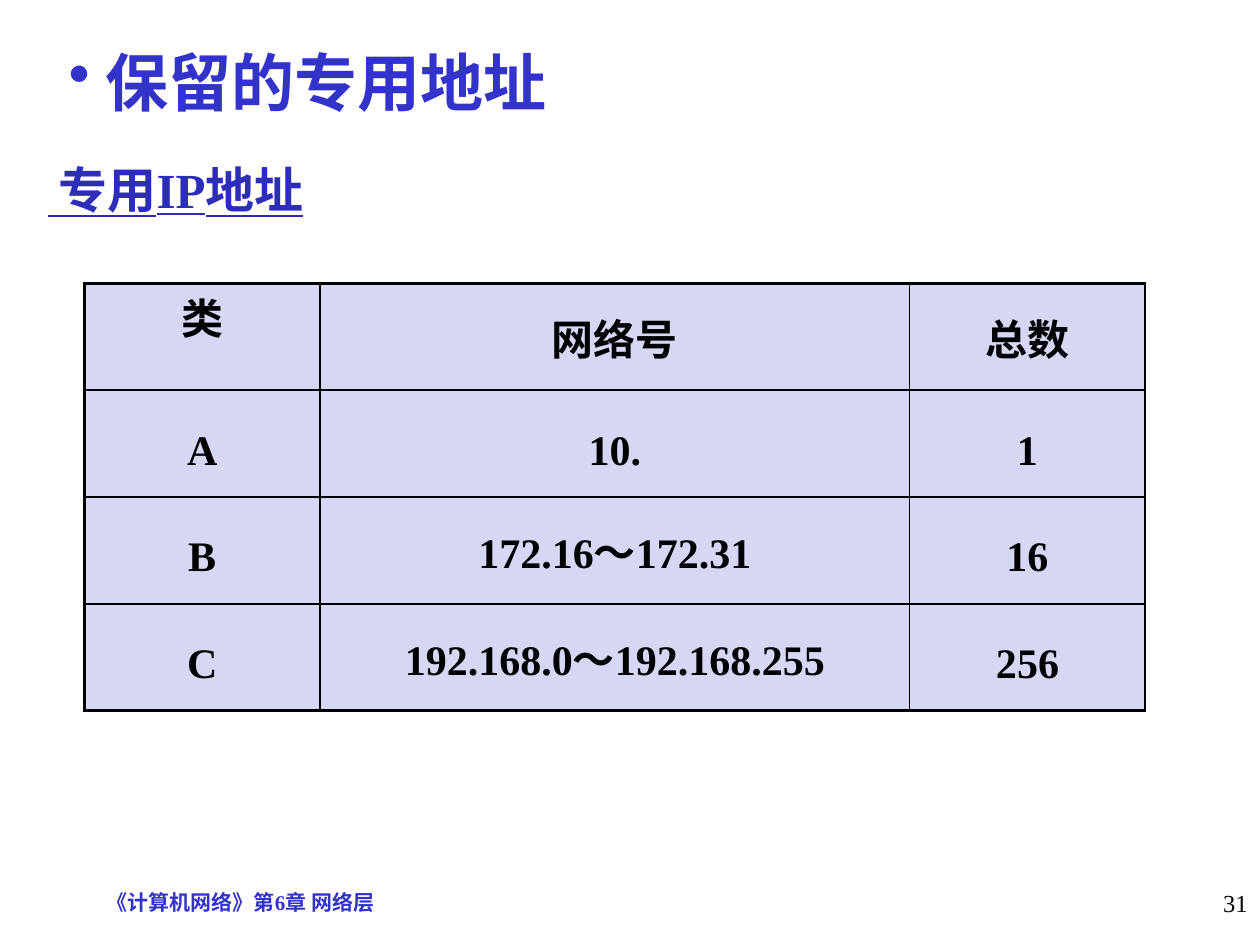
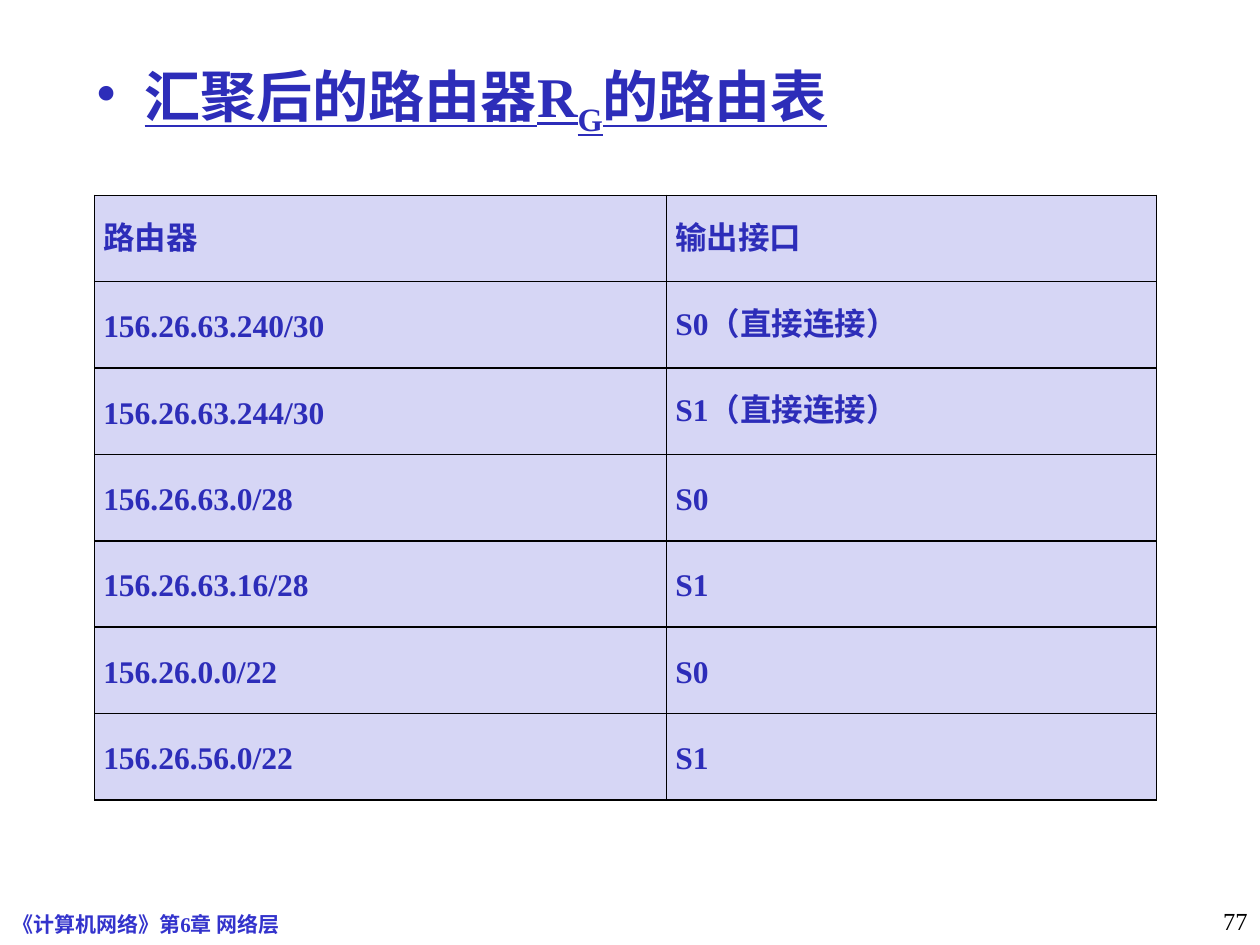
from lxml.etree import SubElement
from pptx import Presentation
from pptx.dml.color import RGBColor
from pptx.enum.text import MSO_ANCHOR as Anchor, PP_ALIGN as Align
from pptx.oxml.ns import qn
from pptx.util import Inches, Pt

INK = {"title": "2D2DB9", "accent": "3333CC", "text": "000000",
       "cell": "D6D6F5", "rule": "000000"}
SERIF, SANS = "Times New Roman", "Noto Sans CJK SC"
FOOTER = "《计算机网络》第6章 网络层"
LINE = 12  # fixed line height in table cells, points

PRIVATE = [
    ("类", "网络号", "总数"),
    ("A", "10.", "1"),
    ("B", "172.16～172.31", "16"),
    ("C", "192.168.0～192.168.255", "256"),
]
ROUTES = [
    ("路由器", "输出接口"),
    ("156.26.63.240/30", "S0（直接连接）"),
    ("156.26.63.244/30", "S1（直接连接）"),
    ("156.26.63.0/28", "S0"),
    ("156.26.63.16/28", "S1"),
    ("156.26.0.0/22", "S0"),
    ("156.26.56.0/22", "S1"),
]


def style(para, size, ink, bold=True, face=SERIF, line=None):
    font = para.font
    font.name, font.size, font.bold = face, Pt(size), bold
    font.color.rgb = RGBColor.from_string(INK[ink])
    font.underline = line


def bullet(para, indent=0):
    """Add a dot bullet that hangs by indent inches."""
    props = para._p.get_or_add_pPr()
    props.set("marL", str(Inches(indent)))
    props.set("indent", str(-Inches(indent)))
    SubElement(props, qn("a:buChar")).set("char", "•")


def box(slide, at, text="", wrap=True, anchor=Anchor.TOP):
    """Add a text box; return its frame and first paragraph."""
    frame = slide.shapes.add_textbox(*map(Inches, at)).text_frame
    frame.word_wrap = wrap
    frame.vertical_anchor = anchor
    para = frame.paragraphs[0]
    if text:
        para.add_run().text = text
    return frame, para


def footer(slide, left, top, page, page_top, page_high):
    frame, para = box(slide, (left, top, 5.83, 0.51), FOOTER)
    frame.margin_top = Inches(0.24)
    style(para, 12, "accent")
    para = box(slide, (7.92, page_top, 2.08, page_high), page)[1]
    para.alignment = Align.RIGHT
    style(para, 14, "text", bold=False)


def border(cell, widths):
    """Draw the left, right, top and bottom rules, in points."""
    props = cell._tc.get_or_add_tcPr()
    for side, width in zip("LRTB", widths):
        rule = SubElement(props, qn(f"a:ln{side}"), w=str(Pt(width)))
        fill = SubElement(rule, qn("a:solidFill"))
        SubElement(fill, qn("a:srgbClr"), val=INK["rule"])


def grid(slide, left, top, cols, high, rows, size, ink, align, edge, drop):
    """Add a table; drop(r, c) is the number of lines above a cell's text."""
    deep, wide = len(rows), len(cols)
    table = slide.shapes.add_table(
        deep, wide, Inches(left), Inches(top),
        Inches(sum(cols)), Inches(high)).table
    table.first_row = table.horz_banding = False
    for col, width in zip(table.columns, cols):
        col.width = Inches(width)
    for r, row in enumerate(rows):
        table.rows[r].height = Inches(high / deep)
        for c, text in enumerate(row):
            cell = table.cell(r, c)
            heavy = (c == 0, c == wide - 1, r < 2, r in (0, deep - 1))
            border(cell, [edge if thick else 1 for thick in heavy])
            cell.fill.solid()
            cell.fill.fore_color.rgb = RGBColor.from_string(INK["cell"])
            cell.margin_left = cell.margin_right = Inches(0.07)
            cell.margin_top = Pt(LINE * drop(r, c))
            cell.margin_bottom = 0
            para = cell.text_frame.paragraphs[0]
            para.add_run().text = text
            para.alignment = align
            para.line_spacing = Pt(LINE)
            style(para, size, ink)


def private(slide):
    para = box(slide, (0.28, 0.99, 8.5, 1.02), " 专用IP地址",
               anchor=Anchor.MIDDLE)[1]
    style(para, 28, "title", line=True)
    grid(slide, 0.67, 2.25, (1.87, 4.68, 1.87), 3.39, PRIVATE, 24, "text",
         Align.CENTER, 1.5, lambda r, c: 3 if r or c else 2)
    footer(slide, 0.75, 6.82, "31", 7, 0.5)
    para = box(slide, (0.35, 0.29, 4.18, 0.71), " 保留的专用地址",
               wrap=False, anchor=Anchor.MIDDLE)[1]
    para.alignment = Align.CENTER
    bullet(para)
    style(para, 36, "accent", face=SANS)


def routes(slide):
    para = box(slide, (0.67, 0.44, 8.98, 5.52))[1]
    for text, base in (("汇聚后的路由器R", 0), ("G", -25), ("的路由表", 0)):
        run = para.add_run()
        run.text = text
        if base:
            run._r.get_or_add_rPr().set("baseline", str(base * 1000))
    bullet(para, 0.38)
    style(para, 32, "title", line=True)
    footer(slide, 0, 6.99, "77", 7.14, 0.36)
    grid(slide, 0.75, 1.55, (4.54, 3.89), 4.8, ROUTES, 18, "title",
         Align.LEFT, 1, lambda r, c: 2)


def main():
    deck = Presentation()
    deck.slide_width, deck.slide_height = Inches(10), Inches(7.5)
    for build in (private, routes):
        build(deck.slides.add_slide(deck.slide_layouts[6]))
    deck.save("out.pptx")


if __name__ == "__main__":
    main()
